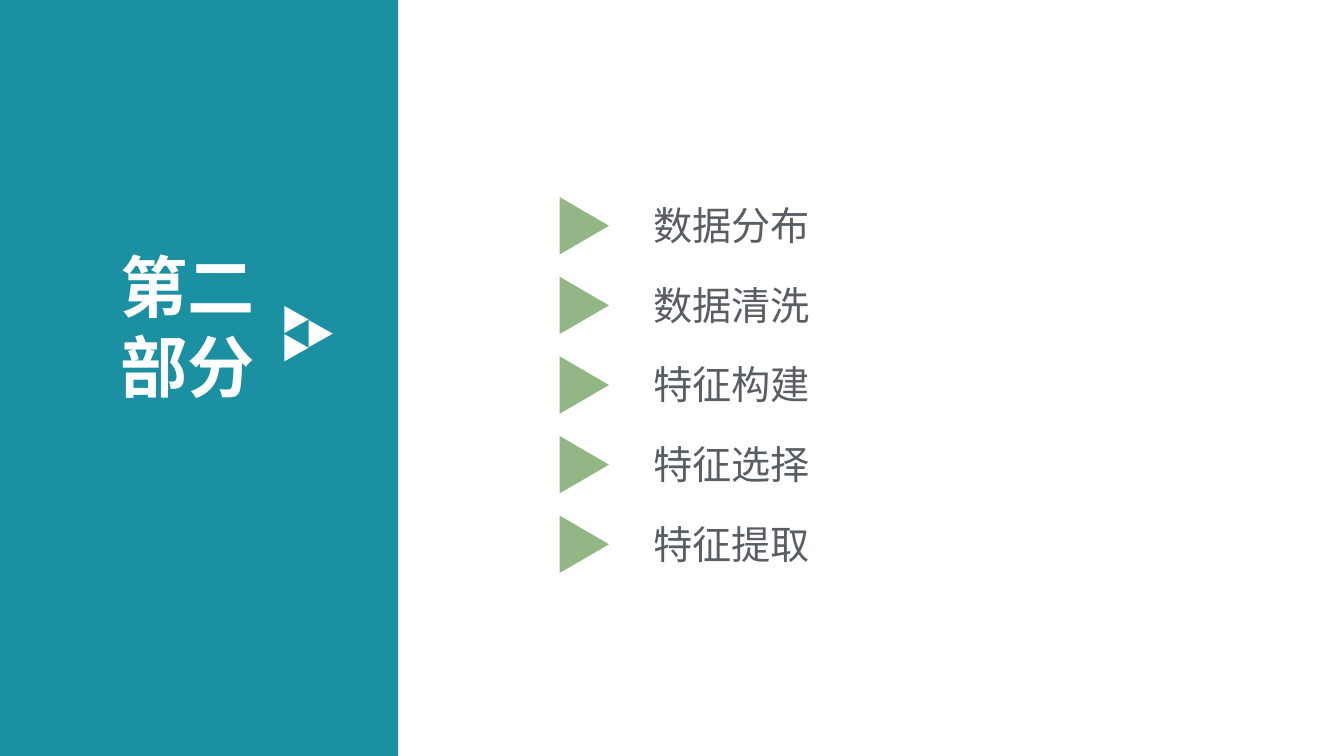
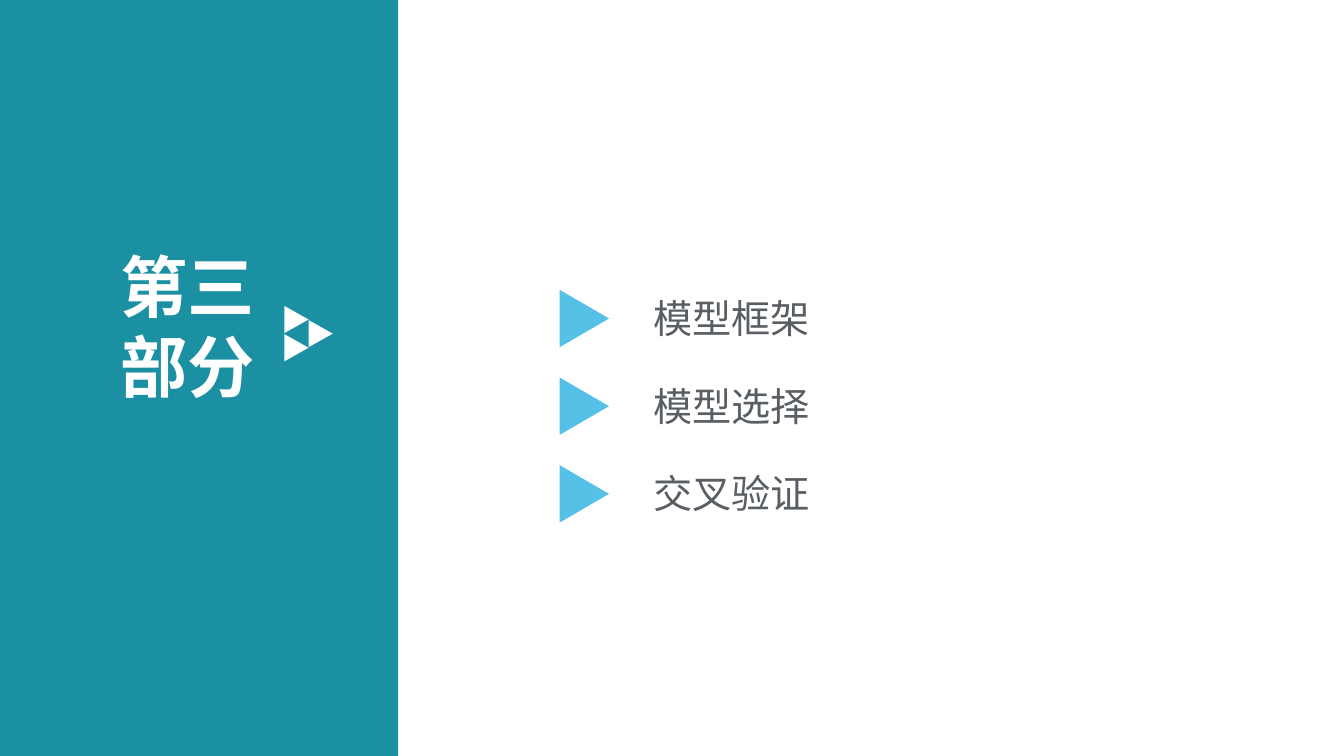
from pptx import Presentation
from pptx.dml.color import RGBColor
from pptx.enum.shapes import MSO_SHAPE
from pptx.enum.text import MSO_AUTO_SIZE
from pptx.oxml.ns import qn
from pptx.util import Inches, Pt

RECTANGLE = MSO_SHAPE.RECTANGLE
TRIANGLE = MSO_SHAPE.ISOSCELES_TRIANGLE
GROW = MSO_AUTO_SIZE.SHAPE_TO_FIT_TEXT
FONT = "Noto Sans CJK SC"
TEAL, GREEN, BLUE = "1B90A2", "93B784", "55C1E7"
WHITE, GRAY = "FFFFFF", "595E64"
TITLE_FORMAT = {"size": Pt(48), "bold": True, "name": FONT}
ITEM_FORMAT = {"size": Pt(28), "bold": False, "name": FONT}
EMBLEM = [(2.82, 3.17), (2.82, 3.45), (3.06, 3.31)]
SECTIONS = [
    ("第二部分", GREEN, 2.24, 0.79,
     ["数据分布", "数据清洗", "特征构建", "特征选择", "特征提取"]),
    ("第三部分", BLUE, 3.16, 0.87,
     ["模型框架", "模型选择", "交叉验证"]),
]


def color(hex_value):
    return RGBColor.from_string(hex_value)


class SectionDeck:
    """Holds the section style, the deck and its current page."""

    def __init__(self):
        self.deck = Presentation()
        self.deck.slide_width = Inches(13.33)
        self.deck.slide_height = Inches(7.5)
        self.page = None

    def shape(self, kind, left, top, width, height, fill):
        shape = self.page.shapes.add_shape(
            kind, Inches(left), Inches(top), Inches(width), Inches(height))
        shape.shadow.inherit = False
        shape.fill.solid()
        shape.fill.fore_color.rgb = color(fill)
        shape.line.fill.background()
        return shape

    def arrow(self, left, middle, width, height, fill):
        shape = self.shape(TRIANGLE, left + (width - height) / 2,
                           middle - width / 2, height, width, fill)
        shape.rotation = 90

    def text(self, words, left, top, width, height, fill, formats):
        box = self.page.shapes.add_textbox(
            Inches(left), Inches(top), Inches(width), Inches(height))
        box.text_frame.word_wrap = True
        box.text_frame.auto_size = GROW
        span = box.text_frame.paragraphs[0].add_run()
        span.text = words
        for name, value in formats.items():
            setattr(span.font, name, value)
        span.font.color.rgb = color(fill)
        east_asian = span.font._element.makeelement(qn("a:ea"), {"typeface": FONT})
        span.font._element.find(qn("a:latin")).addnext(east_asian)

    def section(self, title):
        self.page = self.deck.slides.add_slide(self.deck.slide_layouts[6])
        self.page.background.fill.solid()
        self.page.background.fill.fore_color.rgb = color(WHITE)
        self.shape(RECTANGLE, 0, 0, 3.95, 7.5, TEAL)
        self.text(title, 1.1, 2.38, 1.74, 1.72, WHITE, TITLE_FORMAT)
        for left, middle in EMBLEM:
            self.arrow(left, middle, 0.24, 0.27, WHITE)

    def item(self, words, middle, accent):
        self.arrow(5.55, middle, 0.49, 0.57, accent)
        self.text(words, 6.38, middle - 0.29, 6.05, 0.57, GRAY, ITEM_FORMAT)


def main():
    sections = SectionDeck()
    for title, accent, first, step, items in SECTIONS:
        sections.section(title)
        for index, words in enumerate(items):
            sections.item(words, first + index * step, accent)
    sections.deck.save("out.pptx")


if __name__ == "__main__":
    main()
